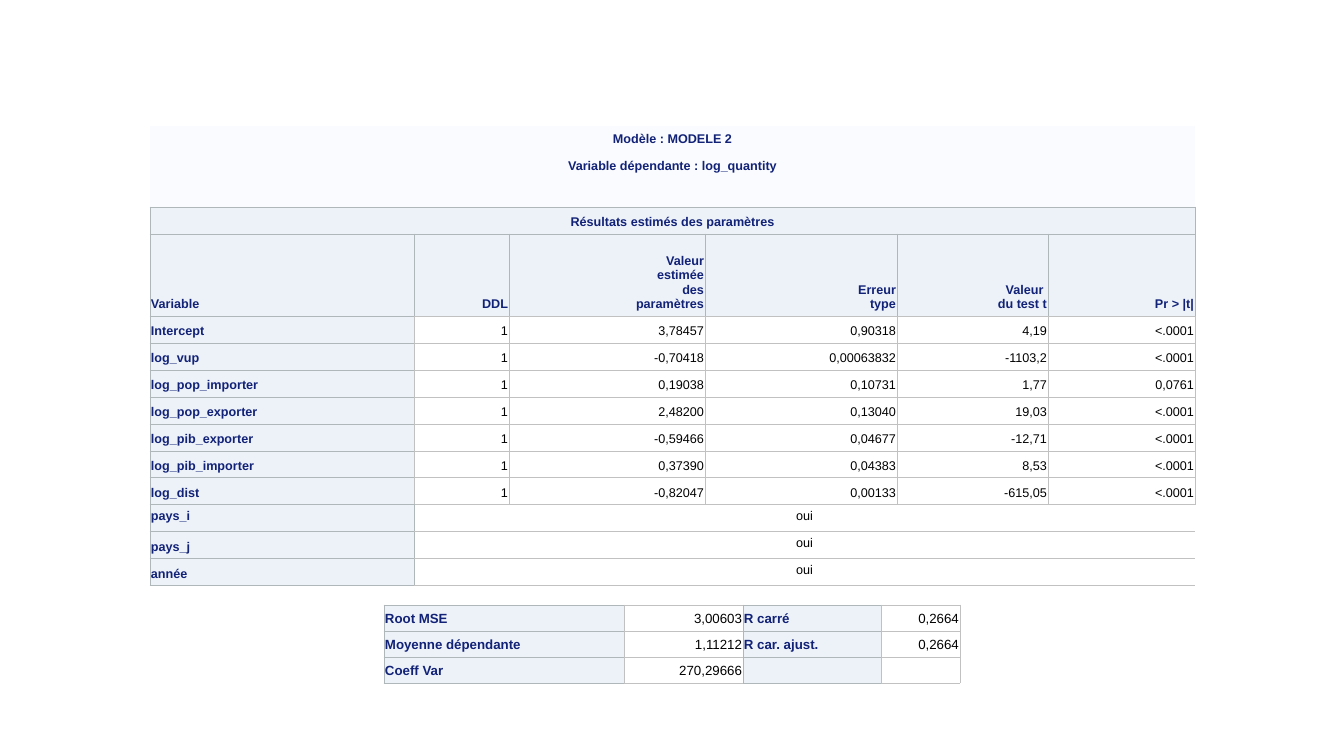
from dataclasses import dataclass

from lxml import etree
from pptx import Presentation
from pptx.dml.color import RGBColor
from pptx.enum.text import MSO_ANCHOR, PP_ALIGN
from pptx.oxml.ns import qn
from pptx.slide import Slide
from pptx.table import _Cell
from pptx.util import Emu, Pt

LEFT, CENTER, RIGHT = PP_ALIGN.LEFT, PP_ALIGN.CENTER, PP_ALIGN.RIGHT
MIDDLE, BOTTOM = MSO_ANCHOR.MIDDLE, MSO_ANCHOR.BOTTOM


@dataclass(frozen=True)
class Theme:
    font: str = "Arial"
    navy: str = "112277"
    black: str = "000000"
    white: str = "FFFFFF"
    caption_fill: str = "FAFBFE"
    header_fill: str = "EDF2F9"
    dark_rule: str = "B0B7BB"
    light_rule: str = "C1C1C1"
    rule_pt: float = 0.5
    estimates_pt: float = 9
    fit_pt: float = 9.5


THEME = Theme()
RULES = {"d": THEME.dark_rule, "l": THEME.light_rule}
SIDES = ("a:lnL", "a:lnR", "a:lnT", "a:lnB")


@dataclass(frozen=True)
class Style:
    fill: str
    color: str
    bold: bool
    align: PP_ALIGN
    edges: str
    anchor: MSO_ANCHOR = BOTTOM


@dataclass(frozen=True)
class Cell:
    text: str
    style: Style
    span: int = 1


@dataclass(frozen=True)
class Grid:
    left: int
    top: int
    cols: list[int]
    heights: list[int]
    rows: list[list[Cell]]
    size: float


CAPTION = Style(THEME.caption_fill, THEME.navy, True, CENTER, "----")
GAP = Style(THEME.caption_fill, THEME.navy, True, CENTER, "---d")
BANNER = Style(THEME.header_fill, THEME.navy, True, CENTER, "dddd")
CORNER = Style(THEME.header_fill, THEME.navy, True, LEFT, "dddd")
HEADING = Style(THEME.header_fill, THEME.navy, True, RIGHT, "dddl")
VARIABLE = Style(THEME.header_fill, THEME.navy, True, LEFT, "dldd")
EFFECT = Style(THEME.header_fill, THEME.navy, True, LEFT, "dddd", MIDDLE)
NUMBER = Style(THEME.white, THEME.black, False, RIGHT, "llll")
ANSWER = Style(THEME.white, THEME.black, False, CENTER, "d-ll", MIDDLE)
FIT_VALUE = Style(THEME.white, THEME.black, False, RIGHT, "ldll")

HEADINGS = ["DDL", "Valeur\nestimée\ndes\nparamètres", "Erreur\ntype",
            "Valeur \ndu test t", "Pr > |t|"]
ESTIMATES = [
    ("Intercept", "1", "3,78457", "0,90318", "4,19", "<.0001"),
    ("log_vup", "1", "-0,70418", "0,00063832", "-1103,2", "<.0001"),
    ("log_pop_importer", "1", "0,19038", "0,10731", "1,77", "0,0761"),
    ("log_pop_exporter", "1", "2,48200", "0,13040", "19,03", "<.0001"),
    ("log_pib_exporter", "1", "-0,59466", "0,04677", "-12,71", "<.0001"),
    ("log_pib_importer", "1", "0,37390", "0,04383", "8,53", "<.0001"),
    ("log_dist", "1", "-0,82047", "0,00133", "-615,05", "<.0001"),
]
EFFECTS = [("pays_i", EFFECT), ("pays_j", CORNER), ("année", CORNER)]
FIT = [
    ("Root MSE", "3,00603", "R carré", "0,2664"),
    ("Moyenne dépendante", "1,11212", "R car. ajust.", "0,2664"),
    ("Coeff Var", "270,29666", "", ""),
]
FIT_STYLES = (VARIABLE, FIT_VALUE, VARIABLE, NUMBER)

ESTIMATES_GRID = Grid(
    150, 126, [264, 95, 196, 192, 151, 147],
    [25, 27, 29, 27, 82] + [27] * (len(ESTIMATES) + len(EFFECTS)),
    [
        [Cell("Modèle : MODELE 2", CAPTION, 6)],
        [Cell("Variable dépendante : log_quantity", CAPTION, 6)],
        [Cell("", GAP)] * 6,
        [Cell("Résultats estimés des paramètres", BANNER, 6)],
        [Cell("Variable", CORNER)] + [Cell(t, HEADING) for t in HEADINGS],
        *[[Cell(name, VARIABLE)] + [Cell(v, NUMBER) for v in values]
          for name, *values in ESTIMATES],
        *[[Cell(name, style), Cell("oui", ANSWER, 5)] for name, style in EFFECTS],
    ],
    THEME.estimates_pt,
)
FIT_GRID = Grid(
    384, 605, [240, 119, 138, 79], [26] * len(FIT),
    [[Cell(t, style) for t, style in zip(row, FIT_STYLES)] for row in FIT],
    THEME.fit_pt,
)


def px(n: int) -> Emu:
    return Emu(round(n * 914400 / 100.8))


def draw_edges(cell: _Cell, edges: str) -> None:
    tc_pr = cell._tc.get_or_add_tcPr()
    for side, code in zip(SIDES, edges):
        ln = etree.SubElement(tc_pr, qn(side), w=str(Pt(THEME.rule_pt)))
        if code in RULES:
            fill = etree.SubElement(ln, qn("a:solidFill"))
            etree.SubElement(fill, qn("a:srgbClr"), val=RULES[code])
        else:
            etree.SubElement(ln, qn("a:noFill"))


def paint_cell(cell: _Cell, style: Style) -> None:
    draw_edges(cell, style.edges)
    cell.fill.solid()
    cell.fill.fore_color.rgb = RGBColor.from_string(style.fill)


def write_cell(cell: _Cell, text: str, style: Style, size: float) -> None:
    cell.margin_left = cell.margin_top = cell.margin_right = px(1)
    cell.margin_bottom = px(5)
    cell.vertical_anchor = style.anchor
    p = cell.text_frame.paragraphs[0]
    p.alignment = style.align
    if not text:
        etree.SubElement(p._p, qn("a:endParaRPr"), sz=str(round(size * 100)))
        return
    for i, line in enumerate(text.split("\n")):
        if i:
            p.add_line_break()
        r = p.add_run()
        r.text = line
        r.font.name = THEME.font
        r.font.size = Pt(size)
        r.font.bold = style.bold
        r.font.color.rgb = RGBColor.from_string(style.color)


def draw_grid(slide: Slide, grid: Grid) -> None:
    sp = slide.shapes.add_table(
        len(grid.heights), len(grid.cols), px(grid.left), px(grid.top),
        px(sum(grid.cols)), px(sum(grid.heights)))
    table = sp.table
    table.first_row = table.horz_banding = False
    for column, width in zip(table.columns, grid.cols):
        column.width = px(width)
    for i, (height, row) in enumerate(zip(grid.heights, grid.rows)):
        table.rows[i].height = px(height)
        j = 0
        for item in row:
            last = j + item.span - 1
            for k in range(j, last + 1):
                paint_cell(table.cell(i, k), item.style)
            cell = table.cell(i, j)
            if item.span > 1:
                cell.merge(table.cell(i, last))
            write_cell(cell, item.text, item.style, grid.size)
            j = last + 1


def main() -> None:
    prs = Presentation()
    prs.slide_width, prs.slide_height = px(1344), px(756)
    slide = prs.slides.add_slide(prs.slide_layouts[6])
    for grid in (ESTIMATES_GRID, FIT_GRID):
        draw_grid(slide, grid)
    prs.save("out.pptx")


if __name__ == "__main__":
    main()
